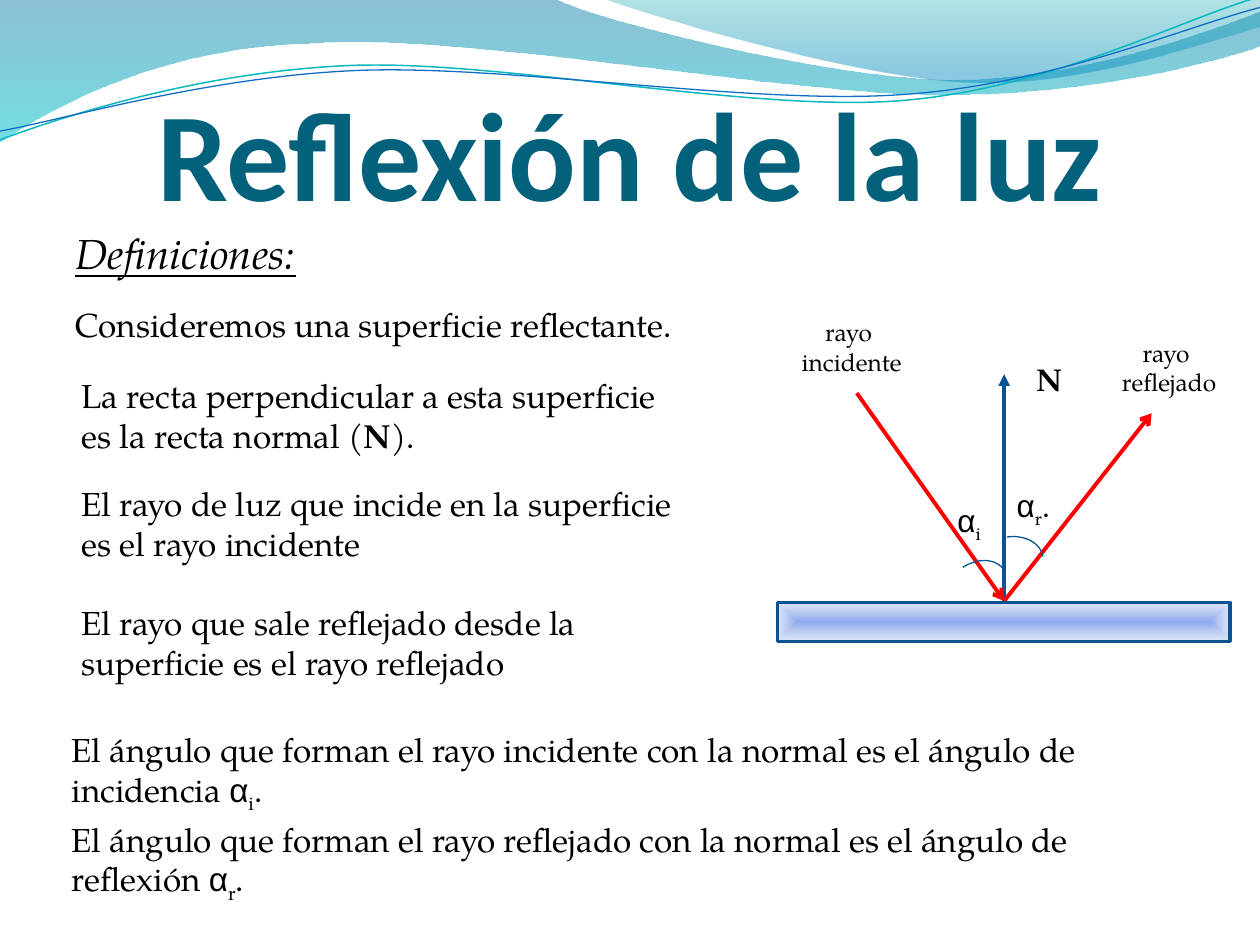
from math import cos, radians, sin

from lxml.etree import SubElement
from pptx import Presentation
from pptx.dml.color import RGBColor
from pptx.enum.shapes import MSO_CONNECTOR, MSO_SHAPE
from pptx.enum.text import MSO_ANCHOR, MSO_AUTO_SIZE, PP_ALIGN
from pptx.oxml.ns import qn
from pptx.util import Inches, Pt

THEME = {
    "body_font": "TeX Gyre Pagella", "title_font": "Calibri", "symbol_font": "Arial",
    "title": "04617B", "text": "000000", "normal": "095295", "ray": "FF0000",
    "mirror_edge": "0B5292", "wave_teal": "0AB8BF", "wave_blue": "0F6FC6",
    "band": [(0, "0074A1", 45), (100, "00C6CF", 55)],
    "band_corner": [(0, "00A1A9", 30), (80, "008BBF", 45)],
    "mirror": [(0, "8EABEE", 100), (50, "BBCBF2", 100), (100, "DEE5F8", 100)],
    "title_size": 72, "heading_size": 24, "body_size": 19, "symbol_size": 18, "label_size": 14,
}
BOLD = {"bold": True}
SYMBOL = {"name": THEME["symbol_font"]}
SUBSCRIPT = {"baseline": -25000}


def angle(letter, ending=""):
    return [("α", SYMBOL), (letter, SUBSCRIPT)] + ([(ending, {})] if ending else [])


BANDS = [
    ([(0, 0), (4.4, -0.01),
      [(4.76, 0.17), (6.64, 0.63), (7.58, 0.63)],
      [(8.53, 0.63), (9.58, 0.26), (10, 0.09)], (10.01, 0.36),
      [(9.83, 0.44), (8.7, 0.76), (7.46, 0.75)],
      [(6.22, 0.75), (3.82, 0.28), (2.57, 0.34)],
      [(1.29, 0.36), (0.46, 0.83), (-0.01, 1.13)], (0, 0)], THEME["band"]),
    ([(4.79, -0.01),
      [(5.09, 0.11), (6.82, 0.62), (7.69, 0.65)],
      [(8.56, 0.69), (9.61, 0.32), (10, 0.21)], (10, 0), (4.79, -0.01)], THEME["band_corner"]),
]
WAVES = [
    ([(0, 1.11),
      [(0.48, 0.93), (1.58, 0.57), (2.77, 0.52)],
      [(3.95, 0.47), (5.93, 0.89), (7.13, 0.8)],
      [(8.33, 0.71), (9.38, 0.15), (9.98, -0.02)]], (4.99, 0.58), THEME["wave_teal"], 0.85),
    ([(0, 1.04),
      [(0.47, 0.96), (1.64, 0.61), (2.83, 0.56)],
      [(4.03, 0.51), (5.97, 0.84), (7.17, 0.75)],
      [(8.36, 0.67), (9.41, 0.21), (10, 0.06)]], (5, 0.59), THEME["wave_blue"], 0.75),
]
WAVE_TURN = 357.3
TITLE = ((0.5, 0.55, 9, 1.25), "Reflexión de la luz")
INTRO = ((0.5, 1.76, 4.97, 1.01), "Definiciones:", "Consideremos una superficie reflectante.")
DEFINITIONS = [
    ((0.55, 2.93, 5, 0.74),
     [("La recta perpendicular a esta superficie es la recta normal (", {}), ("N", BOLD), (").", {})]),
    ((0.55, 3.79, 5, 0.74), [("El rayo de luz que incide en la superficie es el rayo incidente", {})]),
    ((0.55, 4.73, 5, 0.74), [("El rayo que sale reflejado desde la superficie es el rayo reflejado", {})]),
    ((0.47, 5.74, 9.14, 0.74),
     [("El ángulo que forman el rayo incidente con la normal es el ángulo de incidencia ", {})]
     + angle("i", ".")),
    ((0.47, 6.45, 9.06, 0.74),
     [("El ángulo que forman el rayo reflejado con la normal es el ángulo de reflexión ", {})]
     + angle("r", ".")),
]
SYMBOLS = [
    ((8.13, 2.81, 0.39, 0.4), [("N", BOLD)]),
    ((7.5, 3.93, 0.41, 0.4), angle("i")),
    ((7.97, 3.81, 0.48, 0.4), angle("r", ".")),
]
RAY_LABELS = [
    ((6.26, 2.47, 1, 0.57), ["rayo ", "incidente"]),
    ((8.8, 2.63, 0.96, 0.57), ["rayo ", "reflejado"]),
]
IMPACT = (7.97, 4.77)
ARROWS = [
    (IMPACT, (7.97, 2.97), THEME["normal"], "triangle"),
    ((6.8, 3.12), IMPACT, THEME["ray"], "arrow"),
    (IMPACT, (9.14, 3.28), THEME["ray"], "arrow"),
]
ARCS = [((7.49, 4.47, 0.52, 0.39), 326.7), ((7.76, 4.26, 0.52, 0.39), 351.6)]
MIRROR = (6.17, 4.78, 3.59, 0.31)

prs = Presentation()
prs.slide_width, prs.slide_height = Inches(10), Inches(7.5)
shapes = prs.slides.add_slide(prs.slide_layouts[6]).shapes


def inches(values):
    return [Inches(value) for value in values]


def set_line(shape, color, width):
    shape.line.color.rgb = RGBColor.from_string(color)
    shape.line.width = Pt(width)


def set_gradient(shape, stops, centred=False):
    shape.fill.gradient()
    gradient = shape._element.spPr.find(qn("a:gradFill"))
    for part in list(gradient):
        gradient.remove(part)
    stop_list = SubElement(gradient, qn("a:gsLst"))
    for position, color, opacity in stops:
        stop = SubElement(stop_list, qn("a:gs"), pos=str(position * 1000))
        tone = SubElement(stop, qn("a:srgbClr"), val=color)
        if opacity < 100:
            SubElement(tone, qn("a:alpha"), val=str(opacity * 1000))
    if centred:
        focus = SubElement(gradient, qn("a:path"), path="shape")
        SubElement(focus, qn("a:fillToRect"), {side: "50000" for side in "ltrb"})
    else:
        SubElement(gradient, qn("a:lin"), ang="5400000", scaled="1")


def turn_back(point, centre, degrees):
    turn = radians(-degrees)
    dx, dy = point[0] - centre[0], point[1] - centre[1]
    return (centre[0] + dx * cos(turn) - dy * sin(turn), centre[1] + dx * sin(turn) + dy * cos(turn))


def add_outline(outline, close, centre=(0, 0), rotation=0):
    steps = [step if isinstance(step, list) else [step] for step in outline]
    points = [inches(turn_back(point, centre, rotation)) for step in steps for point in step]
    builder = shapes.build_freeform(*points[0])
    builder.add_line_segments(points[1:], close=close)
    shape = builder.convert_to_shape()
    shape.shadow.inherit = False
    shape.rotation = rotation
    segments = iter(list(shape._element.iter(qn("a:lnTo"))))
    for step in steps[1:]:
        group = [next(segments) for _ in step]
        if len(group) == 3:
            curve = SubElement(group[0].getparent(), qn("a:cubicBezTo"))
            group[0].addprevious(curve)
            for segment in group:
                curve.append(segment[0])
                segment.getparent().remove(segment)
    return shape


def add_text(box, paragraphs, size, wrap=True, align=PP_ALIGN.LEFT, color=THEME["text"]):
    frame = shapes.add_textbox(*inches(box)).text_frame
    frame.word_wrap = wrap
    frame.auto_size = MSO_AUTO_SIZE.SHAPE_TO_FIT_TEXT
    for index, runs in enumerate(paragraphs):
        paragraph = frame.add_paragraph() if index else frame.paragraphs[0]
        paragraph.alignment = align
        for text, changes in runs:
            run = paragraph.add_run()
            run.text = text
            run.font.color.rgb = RGBColor.from_string(color)
            formats = {"name": THEME["body_font"], "size": Pt(size), **changes}
            baseline = formats.pop("baseline", None)
            for key, value in formats.items():
                setattr(run.font, key, value)
            if baseline:
                run._r.get_or_add_rPr().set("baseline", str(baseline))
    return frame


for outline, stops in BANDS:
    band = add_outline(outline, True)
    set_gradient(band, stops)
    band.line.fill.background()
for outline, centre, color, width in WAVES:
    wave = add_outline(outline, False, centre, WAVE_TURN)
    wave.fill.background()
    set_line(wave, color, width)

title_box, title_text = TITLE
title = add_text(title_box, [[(title_text, {"name": THEME["title_font"], "bold": True})]],
                 THEME["title_size"], align=PP_ALIGN.CENTER, color=THEME["title"])
for key, value in {"auto_size": MSO_AUTO_SIZE.NONE, "vertical_anchor": MSO_ANCHOR.BOTTOM,
                   "margin_left": 0, "margin_right": 0, "margin_bottom": 0}.items():
    setattr(title, key, value)

intro_box, heading, opening = INTRO
heading_format = {"size": Pt(THEME["heading_size"]), "italic": True, "underline": True}
intro = add_text(intro_box, [[(heading, heading_format)], [(opening, {})]], THEME["body_size"])
intro.auto_size = MSO_AUTO_SIZE.NONE
for paragraph, gap in zip(intro.paragraphs, (4.8, 14.8)):
    paragraph.space_before = Pt(gap)

for box, runs in DEFINITIONS:
    add_text(box, [runs], THEME["body_size"])
for start, end, color, head in ARROWS:
    arrow = shapes.add_connector(MSO_CONNECTOR.STRAIGHT, *inches(start + end))
    set_line(arrow, color, 2.25)
    SubElement(arrow.line._get_or_add_ln(), qn("a:tailEnd"), type=head)
    SubElement(arrow._element.spPr, qn("a:effectLst"))
for box, runs in SYMBOLS:
    add_text(box, [runs], THEME["symbol_size"], wrap=False)
for box, lines in RAY_LABELS:
    add_text(box, [[(line, {})] for line in lines], THEME["label_size"], False, PP_ALIGN.CENTER)
for box, turn in ARCS:
    arc = shapes.add_shape(MSO_SHAPE.ARC, *inches(box))
    arc.rotation = turn
    arc.shadow.inherit = False
    arc.fill.background()
    set_line(arc, THEME["normal"], 0.75)

mirror = shapes.add_shape(MSO_SHAPE.RECTANGLE, *inches(MIRROR))
mirror.shadow.inherit = False
set_gradient(mirror, THEME["mirror"], centred=True)
set_line(mirror, THEME["mirror_edge"], 2)

prs.save("out.pptx")
